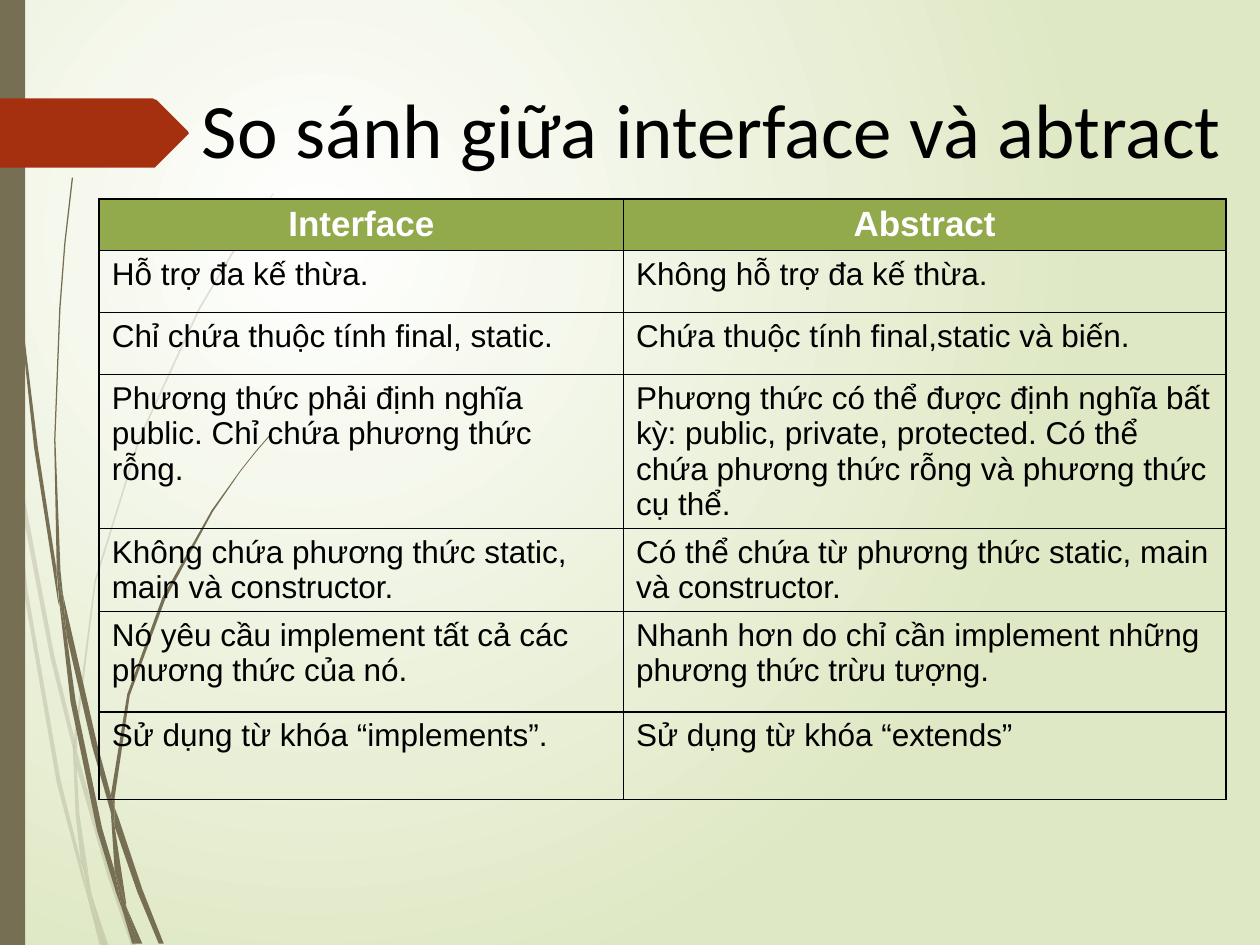
from lxml.etree import SubElement
from pptx import Presentation
from pptx.dml.color import RGBColor
from pptx.enum.shapes import MSO_SHAPE
from pptx.enum.text import MSO_ANCHOR, MSO_AUTO_SIZE, PP_ALIGN
from pptx.oxml.ns import qn
from pptx.util import Cm, Pt

BLACK = RGBColor(0x00, 0x00, 0x00)
WHITE = RGBColor(0xFF, 0xFF, 0xFF)
PALE_GREEN = RGBColor(0xDF, 0xE8, 0xC4)
OLIVE = RGBColor(0x92, 0xA9, 0x4C)
BROWN = RGBColor(0x76, 0x6F, 0x54)
RED = RGBColor(0xA5, 0x30, 0x10)
UNIT = Cm(0.0254)  # one step of the outline coordinates

# Grass blades: each piece is a closed outline
FADED_BLADES = [
    [(8, 350), (6, 322), (0, 282), (0, 299), (7, 344)],
    [(40, 522), (59, 599), (59, 586), (43, 520), (10, 345), (12, 376)],
    [(64, 607), (61, 596), (61, 610), (85, 694), (104, 750), (108, 750), (88, 692)],
    [(83, 750), (86, 750), (73, 711)],
    [(64, 683), (48, 619), (22, 469), (12, 376), (8, 350), (19, 470), (45, 621),
     (64, 693), (70, 714), (69, 707)],
    [(58, 599), (60, 646), (64, 683), (67, 692), (73, 711), (72, 706), (63, 646),
     (61, 610), (61, 608)],
    [(61, 584), (76, 462), (111, 349), (159, 245), (187, 198), (201, 175), (217, 154),
     (217, 153), (201, 175), (186, 197), (158, 244), (110, 348), (75, 461), (59, 584),
     (59, 586), (61, 596)],
    [(70, 714), (79, 750), (82, 750)],
    [(61, 608), (61, 610), (61, 596), (59, 586), (58, 599)],
    [(67, 692), (65, 683), (69, 707), (70, 714), (82, 750), (83, 750), (73, 711)],
]
BLADES = [
    [(5, 110), (14, 233), (27, 355), (46, 477), (47, 481), (45, 457), (45, 453),
     (30, 355), (15, 232), (6, 109), (4, 48), (3, 0), (2, 0), (3, 48)],
    [(73, 592), (88, 645), (88, 633), (88, 631), (77, 590), (50, 472), (53, 505)],
    [(94, 649), (91, 641), (91, 656), (109, 708), (126, 749), (130, 749), (113, 706)],
    [(91, 691), (81, 657), (60, 556), (53, 505), (47, 477), (56, 557), (77, 659),
     (92, 708), (97, 722), (96, 717)],
    [(50, 472), (48, 453), (44, 349), (48, 245), (52, 193), (58, 141), (57, 141),
     (51, 193), (47, 245), (43, 349), (45, 449), (49, 472)],
    [(110, 749), (113, 749), (100, 719)],
    [(47, 477), (53, 505), (50, 472), (49, 472), (45, 449), (45, 453)],
    [(91, 633), (103, 552), (131, 476), (169, 406), (191, 374), (203, 359), (216, 344),
     (215, 344), (203, 358), (191, 373), (168, 405), (129, 474), (101, 551), (88, 631),
     (91, 641)],
    [(97, 722), (105, 749), (108, 749)],
    [(88, 645), (91, 691), (96, 706), (100, 719), (100, 716), (91, 656), (90, 651)],
    [(88, 645), (90, 651), (91, 656), (91, 641), (88, 631), (88, 633)],
    [(96, 706), (91, 691), (96, 717), (97, 722), (108, 749), (110, 749), (100, 719)],
]
ARROW = [(0, 78), (121, 78), (123, 79), (124, 79), (149, 104), (150, 105.5),
         (149, 107), (124, 132), (123, 133), (121, 133), (0, 133)]

ROWS = [
    ("Interface", "Abstract"),
    ("Hỗ trợ đa kế thừa.", "Không hỗ trợ đa kế thừa."),
    ("Chỉ chứa thuộc tính final, static.", "Chứa thuộc tính final,static và biến."),
    ("Phương thức phải định nghĩa public. Chỉ chứa phương thức rỗng.",
     "Phương thức có thể được định nghĩa bất kỳ: public, private, protected. "
     "Có thể chứa phương thức rỗng và phương thức cụ thể."),
    ("Không chứa phương thức static, main và constructor.",
     "Có thể chứa từ phương thức static, main và constructor."),
    ("Nó yêu cầu implement tất cả các phương thức của nó.",
     "Nhanh hơn do chỉ cần implement những phương thức trừu tượng."),
    ("Sử dụng từ khóa “implements”.", "Sử dụng từ khóa “extends”"),
]
COL_WIDTHS = [10.57, 12.14]
ROW_HEIGHTS = [1.03, 1.25, 1.25, 3.1, 1.68, 2.02, 1.77]
HEADER = {"name": "Arial", "size": Pt(20), "bold": True}
BODY = {"name": "Arial", "size": Pt(18), "bold": False}
TITLE = {"name": "Calibri", "size": Pt(44)}


def add_outline(shapes, points, color):
    builder = shapes.build_freeform(*points[0], scale=UNIT)
    builder.add_line_segments(points[1:], close=True)
    sp = builder.convert_to_shape()
    sp.shadow.inherit = False
    sp.fill.solid()
    sp.fill.fore_color.rgb = color
    sp.line.fill.background()
    return sp


def write(tf, text, align, color, style):
    p = tf.paragraphs[0]
    p.alignment = align
    r = p.add_run()
    r.text = text
    r.font.color.rgb = color
    for name, value in style.items():
        setattr(r.font, name, value)


prs = Presentation()
prs.slide_width, prs.slide_height = Cm(25.4), Cm(19.05)
s = prs.slides.add_slide(prs.slide_layouts[5])

# Background: white glow left of and above the centre
fill = s.background.fill
fill.gradient()
for stop, color in zip(fill.gradient_stops, (WHITE, PALE_GREEN)):
    stop.color.rgb = color
grad = s.element.find(".//" + qn("a:gradFill"))
for lin in grad.findall(qn("a:lin")):
    grad.remove(lin)
glow = SubElement(grad, qn("a:path"), {"path": "circle"})
SubElement(glow, qn("a:fillToRect"), {"l": "50000", "t": "50000", "r": "100000", "b": "100000"})

# Grass, side bar and arrow
for blades, alpha in ((FADED_BLADES, "20000"), (BLADES, "100000")):
    group = s.shapes.add_group_shape()
    for points in blades:
        sp = add_outline(group.shapes, points, BROWN)
        clr = sp.fill._xPr.find(".//" + qn("a:srgbClr"))
        SubElement(clr, qn("a:alpha"), {"val": alpha})

bar = s.shapes.add_shape(MSO_SHAPE.RECTANGLE, 0, 0, Cm(0.51), prs.slide_height)
bar.shadow.inherit = False
bar.fill.solid()
bar.fill.fore_color.rgb = BROWN
bar.line.fill.background()
add_outline(s.shapes, ARROW, RED)

# Title
title = s.shapes.title
title.left, title.top, title.width, title.height = Cm(2.29), Cm(1.75), Cm(24.13), Cm(1.63)
tf = title.text_frame
tf.auto_size = MSO_AUTO_SIZE.NONE
tf.vertical_anchor = MSO_ANCHOR.MIDDLE
write(tf, "So sánh giữa interface và abtract", PP_ALIGN.CENTER, BLACK, TITLE)

# Comparison table
table = s.shapes.add_table(len(ROWS), len(COL_WIDTHS), Cm(2), Cm(4.01),
                           Cm(sum(COL_WIDTHS)), Cm(sum(ROW_HEIGHTS))).table
table.horz_banding = False
for col, width in zip(table.columns, COL_WIDTHS):
    col.width = Cm(width)
for i, (texts, height) in enumerate(zip(ROWS, ROW_HEIGHTS)):
    table.rows[i].height = Cm(height)
    for j, text in enumerate(texts):
        cell = table.cell(i, j)
        tcPr = cell._tc.get_or_add_tcPr()
        for side in ("lnL", "lnR", "lnT", "lnB"):
            ln = SubElement(tcPr, qn("a:" + side), {"w": str(Pt(1))})
            line_fill = SubElement(ln, qn("a:solidFill"))
            SubElement(line_fill, qn("a:srgbClr"), {"val": str(BLACK)})
        if i == 0:
            cell.fill.solid()
            cell.fill.fore_color.rgb = OLIVE
            write(cell.text_frame, text, PP_ALIGN.CENTER, WHITE, HEADER)
        else:
            cell.fill.background()
            write(cell.text_frame, text, PP_ALIGN.LEFT, BLACK, BODY)

prs.save("out.pptx")
